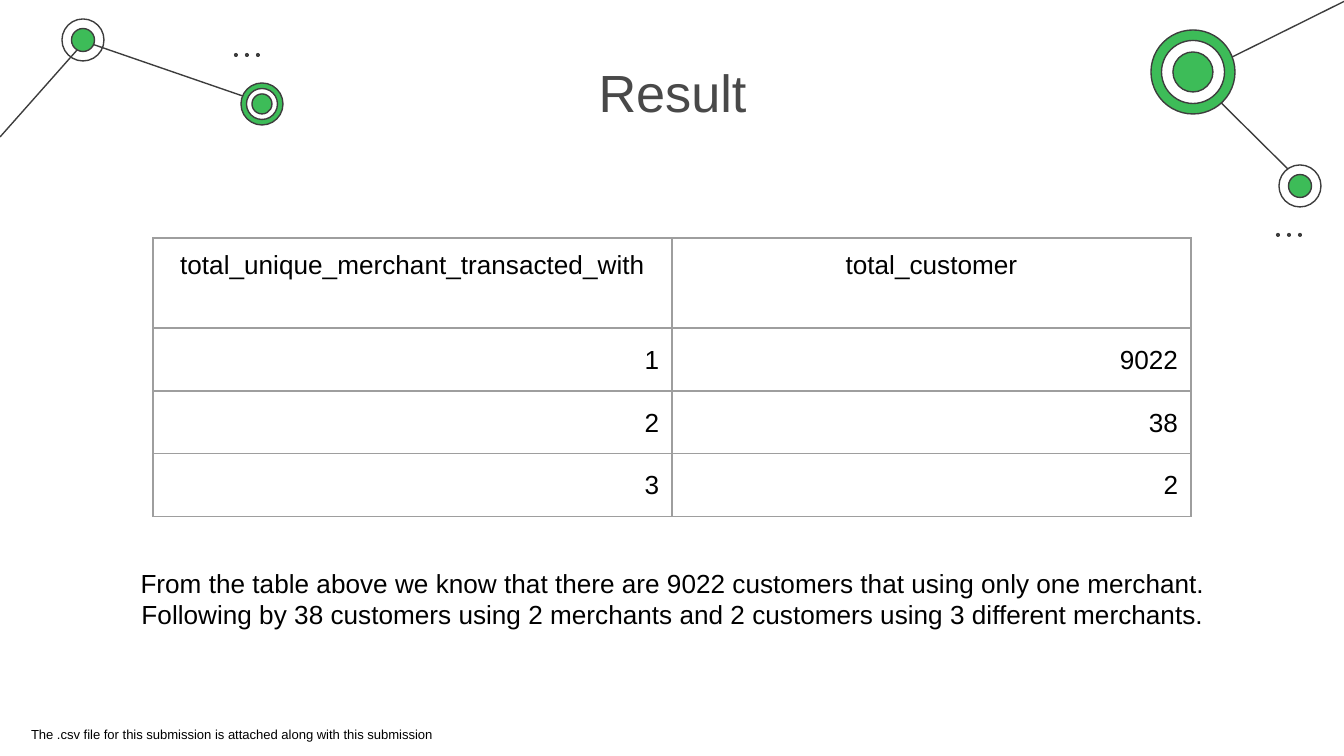
from pptx import Presentation
from pptx.dml.color import RGBColor
from pptx.enum.shapes import MSO_CONNECTOR, MSO_SHAPE
from pptx.enum.text import MSO_ANCHOR, PP_ALIGN
from pptx.oxml import parse_xml
from pptx.oxml.ns import nsdecls
from pptx.util import Pt

SCALE = 914400 / 134.4
PAD = 13
COLORS = {
    "ink": "3D3D3D",
    "green": "3DBC58",
    "white": "FFFFFF",
    "title": "494949",
    "text": "000000",
    "grid": "9E9E9E",
}
ROWS = [
    ("total_unique_merchant_transacted_with", "total_customer"),
    ("1", "9022"),
    ("2", "38"),
    ("3", "2"),
]
LINKS = [
    (1300, 181, 1192, 74),
    (86, 42, 263, 103),
    (0, 137, 86, 40),
    (1345, 1, 1198, 74),
]
NODES = [
    (83, 40, [(42, None), (23, "green")]),
    (262, 104, [(42, "green"), (31, "white"), (20, "green")]),
    (1193, 72, [(84, "green"), (63, "white"), (40, "green")]),
    (1300, 186, [(42, "white"), (23, "green")]),
]
DOTS = [(236, 55), (1278, 235)]


def px(n):
    return round(n * SCALE)


def color(name):
    return RGBColor.from_string(COLORS[name])


def add_link(slide, x1, y1, x2, y2):
    link = slide.shapes.add_connector(MSO_CONNECTOR.STRAIGHT, px(x1), px(y1), px(x2), px(y2))
    link.line.color.rgb = color("ink")
    link.line.width = Pt(0.75)
    link._element.spPr.append(parse_xml(f"<a:effectLst {nsdecls('a')}/>"))


def add_disc(slide, x, y, size, fill, edge=True):
    disc = slide.shapes.add_shape(
        MSO_SHAPE.OVAL, px(x - size / 2), px(y - size / 2), px(size), px(size))
    disc.shadow.inherit = False
    if fill:
        disc.fill.solid()
        disc.fill.fore_color.rgb = color(fill)
    else:
        disc.fill.background()
    if edge:
        disc.line.color.rgb = color("ink")
        disc.line.width = Pt(0.75)
    else:
        disc.line.fill.background()


def add_dots(slide, x, y):
    for i in range(3):
        add_disc(slide, x + 11 * i, y, 4, "ink", edge=False)


def set_pad(item):
    item.margin_left = item.margin_right = px(PAD)
    item.margin_top = item.margin_bottom = px(PAD)


def write(frame, text, size, tint, align):
    para = frame.paragraphs[0]
    para.alignment = align
    run = para.add_run()
    run.text = text
    run.font.name = "Arial"
    run.font.size = Pt(size)
    run.font.color.rgb = color(tint)
    return para


def add_text(slide, box, text, size, tint="text", align=PP_ALIGN.CENTER):
    frame = slide.shapes.add_textbox(*map(px, box)).text_frame
    frame.word_wrap = True
    frame.vertical_anchor = MSO_ANCHOR.TOP
    set_pad(frame)
    write(frame, text, size, tint, align)


def add_edges(cell):
    props = cell._tc.get_or_add_tcPr()
    for i, side in enumerate(("lnL", "lnR", "lnT", "lnB")):
        props.insert(i, parse_xml(
            f'<a:{side} {nsdecls("a")} w="{Pt(0.75)}"><a:solidFill>'
            f'<a:srgbClr val="{COLORS["grid"]}"/></a:solidFill></a:{side}>'))


def add_grid(slide, left, top, width, heights):
    table = slide.shapes.add_table(
        len(ROWS), len(ROWS[0]), px(left), px(top), px(width), px(sum(heights))).table
    table.first_row = table.horz_banding = False
    for r, (row, height) in enumerate(zip(ROWS, heights)):
        table.rows[r].height = px(height)
        for c, text in enumerate(row):
            cell = table.cell(r, c)
            cell.fill.background()
            set_pad(cell)
            para = write(cell.text_frame, text, 14, "text",
                         PP_ALIGN.RIGHT if r else PP_ALIGN.CENTER)
            if r:
                para.line_spacing = 1.15
            add_edges(cell)


def main():
    deck = Presentation()
    deck.slide_width, deck.slide_height = px(1344), px(756)
    slide = deck.slides.add_slide(deck.slide_layouts[6])
    for link in LINKS:
        add_link(slide, *link)
    for x, y, discs in NODES:
        for size, fill in discs:
            add_disc(slide, x, y, size, fill)
    for x, y in DOTS:
        add_dots(slide, x, y)
    add_text(slide, (231, 47, 883, 87), "Result", 28, "title")
    add_text(slide, (18, 719, 466, 43),
             "The .csv file for this submission is attached along with this submission",
             7, align=PP_ALIGN.LEFT)
    add_grid(slide, 153, 238, 1038, (90, 63, 63, 63))
    add_text(slide, (109, 554, 1128, 90),
             "From the table above we know that there are 9022 customers that using only "
             "one merchant. Following by 38 customers using 2 merchants and 2 customers "
             "using 3 different merchants.", 14)
    deck.save("out.pptx")


if __name__ == "__main__":
    main()
